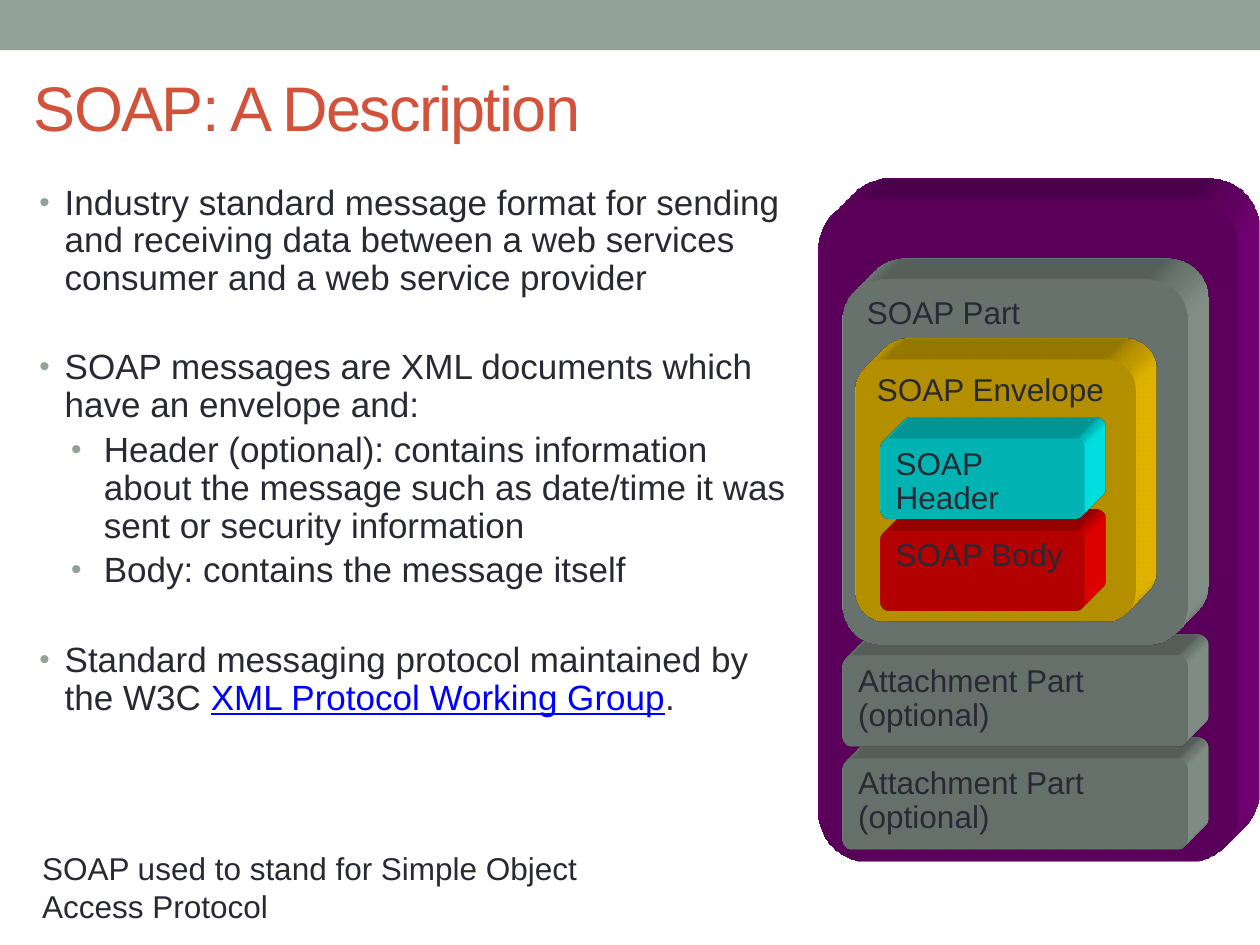
from lxml.etree import SubElement
from pptx import Presentation
from pptx.dml.color import RGBColor
from pptx.enum.shapes import MSO_SHAPE
from pptx.enum.text import MSO_ANCHOR, MSO_AUTO_SIZE, PP_ALIGN
from pptx.oxml import parse_xml
from pptx.oxml.ns import nsdecls, qn
from pptx.util import Cm, Pt

COLORS = {
    "ink": "292934", "title": "D2533C", "sage": "93A299", "link": "0000FF",
    "message": "800080", "envelope": "FFCC00", "body": "FF0000", "header": "00FFFF",
}
# Left margin and hanging indent of each list level, in cm
LEVELS = [(0.51, 0.51), (1.3, 0.66)]
CORNER = 0.116


def rgb(name):
    return RGBColor.from_string(COLORS[name])


def place(s, left, top, width, height):
    s.left, s.top, s.width, s.height = Cm(left), Cm(top), Cm(width), Cm(height)


def add_run(p, text, size=18, color="ink", underline=None, spacing=None):
    r = p.add_run()
    r.text = text
    r.font.name = "Arial"
    r.font.size = Pt(size)
    r.font.color.rgb = rgb(color)
    r.font.underline = underline
    if spacing is not None:
        r.font._element.set("spc", str(int(spacing * 100)))


def set_frame(tf, anchor=MSO_ANCHOR.TOP):
    tf.word_wrap = True
    tf.auto_size = MSO_AUTO_SIZE.NONE
    tf.vertical_anchor = anchor


def set_bullet(p, level):
    margin, hanging = LEVELS[level]
    p.level = level
    pPr = p._p.get_or_add_pPr()
    pPr.set("marL", str(Cm(margin)))
    pPr.set("indent", str(-Cm(hanging)))
    SubElement(SubElement(pPr, qn("a:buClr")), qn("a:srgbClr"), val=COLORS["sage"])
    SubElement(pPr, qn("a:buSzPct"), val="85000")
    SubElement(pPr, qn("a:buFont"), typeface="Arial")
    SubElement(pPr, qn("a:buChar"), char="•")


def add_title(s, text):
    place(s, 0.43, 1.74, 24.55, 0.82)
    set_frame(s.text_frame, MSO_ANCHOR.MIDDLE)
    p = s.text_frame.paragraphs[0]
    p.alignment = PP_ALIGN.LEFT
    add_run(p, text, size=36, color="title", spacing=-1)


def add_list(s, items):
    """Fill the body with (level, space before, runs) items."""
    place(s, 0.54, 3.6, 15.9, 13.77)
    tf = s.text_frame
    set_frame(tf)
    for i, (level, before, runs) in enumerate(items):
        p = tf.paragraphs[0] if i == 0 else tf.add_paragraph()
        set_bullet(p, level)
        p.line_spacing = 0.9
        p.space_before = Pt(before)
        for text, style in runs:
            add_run(p, text, size=20, **style)


def extrude(s, color):
    """Give the shape depth towards the upper right."""
    spPr = s._element.spPr
    spPr.append(parse_xml(
        f'<a:scene3d {nsdecls("a")}><a:camera prst="legacyObliqueTopRight"/>'
        '<a:lightRig rig="legacyFlat3" dir="b"/></a:scene3d>'))
    spPr.append(parse_xml(
        f'<a:sp3d {nsdecls("a")} extrusionH="430200" prstMaterial="legacyMatte">'
        '<a:bevelT w="13500" h="13500" prst="angle"/>'
        '<a:bevelB w="13500" h="13500" prst="angle"/>'
        f'<a:extrusionClr><a:srgbClr val="{COLORS[color]}"/></a:extrusionClr></a:sp3d>'))


def add_block(shapes, box, color, lines=(), kind=MSO_SHAPE.ROUNDED_RECTANGLE):
    s = shapes.add_shape(kind, *map(Cm, box))
    s.shadow.inherit = False
    s.fill.solid()
    s.fill.fore_color.rgb = rgb(color)
    s.line.fill.background()
    tf = s.text_frame
    set_frame(tf)
    for i, line in enumerate(lines):
        p = tf.paragraphs[0] if i == 0 else tf.add_paragraph()
        p.alignment = PP_ALIGN.LEFT
        p.line_spacing = 0.9
        add_run(p, line)
    return s


def add_message_diagram(shapes):
    group = shapes.add_group_shape().shapes
    attachment = ["Attachment Part", "(optional)"]
    blocks = [
        ((16.5, 4.02, 8.46, 13.34), "message", []),
        ((16.99, 15.29, 6.95, 1.83), "sage", attachment),
        ((16.99, 13.22, 6.95, 1.83), "sage", attachment),
        ((16.99, 5.64, 6.95, 7.36), "sage", ["SOAP Part"]),
        ((17.25, 7.24, 5.65, 5.29), "envelope", ["SOAP Envelope"]),
        ((17.75, 10.7, 4.11, 1.6), "body", ["SOAP Body"]),
        ((17.75, 8.85, 4.11, 1.6), "header", ["SOAP Header"]),
    ]
    for box, color, lines in blocks:
        s = add_block(group, box, color, lines)
        s.adjustments[0] = CORNER
        extrude(s, color)


def add_note(shapes, text):
    s = shapes.add_textbox(Cm(0.6), Cm(16.99), Cm(13), Cm(1.75))
    set_frame(s.text_frame)
    add_run(s.text_frame.paragraphs[0], text)


def main():
    prs = Presentation()
    prs.slide_width, prs.slide_height = Cm(25.4), Cm(19.05)
    slide = prs.slides.add_slide(prs.slide_layouts[1])
    shapes = slide.shapes
    add_block(shapes, (0, 0, 25.4, 1.01), "sage", kind=MSO_SHAPE.RECTANGLE)
    add_title(shapes.title, "SOAP: A Description")
    add_list(slide.placeholders[1], [
        (0, 0, [("Industry standard message format for sending and receiving data "
                 "between a web services consumer and a web service provider", {})]),
        (0, 29.4, [("SOAP messages are XML documents which have an envelope and:", {})]),
        (1, 4, [("Header (optional): contains information about the message such as "
                 "date/time it was sent or security information", {})]),
        (1, 4, [("Body: contains the message itself", {})]),
        (0, 29.4, [("Standard messaging protocol maintained by the W3C ", {}),
                   ("XML Protocol Working Group", {"color": "link", "underline": True}),
                   (".", {})]),
    ])
    add_message_diagram(shapes)
    add_note(shapes, "SOAP used to stand for Simple Object Access Protocol")
    prs.save("out.pptx")


if __name__ == "__main__":
    main()
